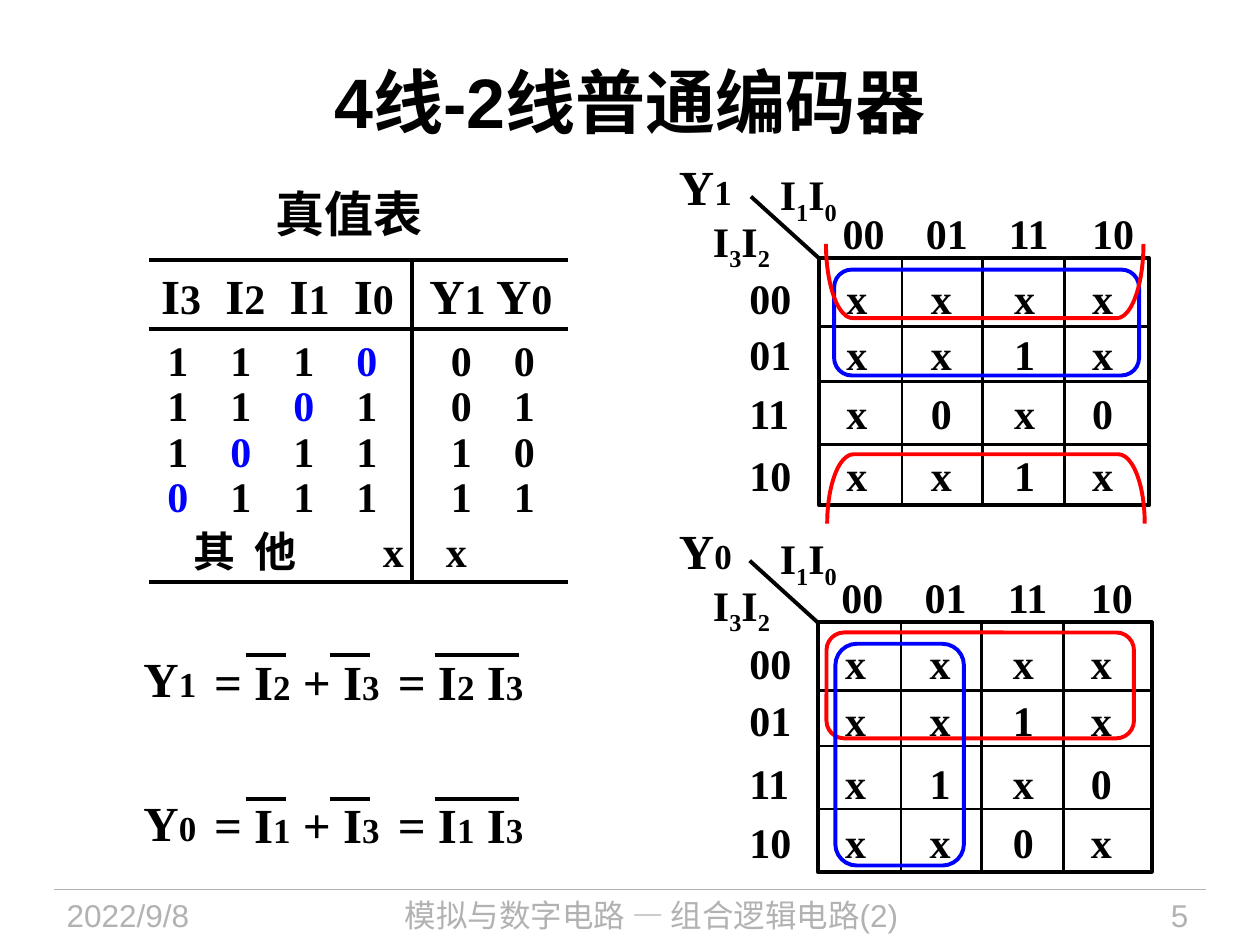
from lxml.etree import SubElement
from pptx import Presentation
from pptx.dml.color import RGBColor
from pptx.enum.shapes import MSO_CONNECTOR, MSO_SHAPE
from pptx.enum.text import MSO_ANCHOR, MSO_AUTO_SIZE, PP_ALIGN
from pptx.oxml.ns import qn
from pptx.util import Inches, Pt

BLACK = RGBColor(0x00, 0x00, 0x00)
BLUE = RGBColor(0x00, 0x00, 0xFF)
RED = RGBColor(0xFF, 0x00, 0x00)
GRAY = RGBColor(0xB2, 0xB2, 0xB2)
SERIF, SANS, CJK = "Times New Roman", "Arial", "Noto Sans CJK SC"

GRAY_CODE = ("00", "01", "11", "10")


def set_font(font, size, name, color, bold=True):
    font.size, font.name, font.bold = Pt(size), name, bold
    font.color.rgb = color


def add_tabs(p, stops):
    tab_list = SubElement(p._p.get_or_add_pPr(), qn("a:tabLst"))
    for stop in stops:
        SubElement(tab_list, qn("a:tab"), pos=str(Inches(stop)), algn="l")


def add_run(p, text, size=None, color=None, name=None, sub=False):
    r = p.add_run()
    r.text = text
    if size:
        r.font.size = Pt(size)
    if color is not None:
        r.font.color.rgb = color
    if name:
        r.font.name = name
    if sub:
        r._r.get_or_add_rPr().set("baseline", "-25000")


def add_text(shapes, box, paragraphs, size=24, name=SERIF, color=BLACK, bold=True,
             wrap=False, align=PP_ALIGN.LEFT, tabs=(), spacing=None):
    """Each paragraph is a list of runs: (text, options of add_run)."""
    tf = shapes.add_textbox(*map(Inches, box)).text_frame
    tf.word_wrap = wrap
    tf.auto_size = MSO_AUTO_SIZE.SHAPE_TO_FIT_TEXT
    for i, runs in enumerate(paragraphs):
        p = tf.add_paragraph() if i else tf.paragraphs[0]
        p.alignment = align
        if spacing:
            p.line_spacing = spacing
        if tabs:
            add_tabs(p, tabs)
        set_font(p.font, size, name, color, bold)
        for text, options in runs:
            add_run(p, text, **options)


def add_label(shapes, x, y, text, width=0.53):
    add_text(shapes, (x, y, width, 0.5), [[(text, {})]])


def indexed(text, size):
    """Runs for a text whose digits are set in a smaller size."""
    return [(c, {"size": size} if c.isdigit() else {}) for c in text]


def add_line(shapes, x1, y1, x2, y2, width=2.25, color=BLACK):
    line = shapes.add_connector(MSO_CONNECTOR.STRAIGHT, *map(Inches, (x1, y1, x2, y2)))
    line.line.width = Pt(width)
    line.line.color.rgb = color
    SubElement(line._element.spPr, qn("a:effectLst"))


def add_outline(shapes, kind, box, color, adj=None, rotation=0):
    sp = shapes.add_shape(kind, *map(Inches, box))
    sp.shadow.inherit = False
    sp.fill.background()
    sp.line.color.rgb = color
    sp.line.width = Pt(2.25)
    sp.rotation = rotation
    if adj is not None:
        sp.adjustments[0] = adj


def add_footer(shapes):
    add_line(shapes, 0.43, 7.06, 9.57, 7.06, 0.75, GRAY)
    for x, width, text, align in (
        (0.43, 1.88, "2022/9/8", PP_ALIGN.LEFT),
        (2.49, 5.36, "模拟与数字电路 — 组合逻辑电路(2)", PP_ALIGN.CENTER),
        (8.2, 1.33, "5", PP_ALIGN.RIGHT),
    ):
        add_text(shapes, (x, 7.06, width, 0.44), [[(text, {})]], 18, SANS, GRAY,
                 bold=False, wrap=True, align=align)


def add_truth_table(shapes):
    add_text(shapes, (2.09, 1.41, 1.37, 0.57), [[("真值表", {})]], 28, SANS)
    # Column heads
    add_text(shapes, (1.18, 2.06, 3.34, 0.57), [indexed("I3\tI2\tI1\tI0\tY1\tY0", 24)],
             28, wrap=True, tabs=(0.51, 1.02, 1.53, 2.13, 2.66))
    # One row per active-low input, with its binary code
    rows = []
    for code in range(4):
        inputs = [("0" if i == 3 - code else "1") for i in range(4)]
        runs = [(bit + "\t", {"color": BLUE} if bit == "0" else {}) for bit in inputs]
        rows.append(runs + [("\t".join(f"{code:02b}"), {})])
    add_text(shapes, (1.23, 2.65, 3.26, 1.54), rows, wrap=True,
             tabs=(0.5, 1, 1.5, 2.25, 2.75), spacing=0.9)
    add_text(shapes, (1.44, 4.12, 2.89, 0.5),
             [[("其\t他\t", {"name": CJK}), ("x\tx", {})]], wrap=True, tabs=(0.48, 1.5, 2))
    # Rules
    for y in (2.06, 2.61, 4.62):
        add_line(shapes, 1.18, y, 4.51, y)
    add_line(shapes, 3.27, 2.06, 3.27, 4.62)


def add_overlined(shapes, x, y, width, text, bars):
    group = shapes.add_group_shape().shapes
    add_text(group, (x, y, width, 0.57), [indexed(text, 20)], 28, wrap=True)
    for start, end in bars:
        add_line(group, x + start, y + 0.08, x + end, y + 0.08)


def add_equation(shapes, x, y, output, first):
    add_text(shapes, (x, y - 0.02, 0.62, 0.57), [indexed(output, 20)], 28)
    add_overlined(shapes, x + 0.56, y, 1.65, f"= {first} + I3", ((0.35, 0.67), (1.02, 1.34)))
    add_overlined(shapes, x + 2.02, y, 1.5, f"= {first} I3", ((0.39, 1.06),))


def add_karnaugh_map(shapes, x, y, width, height, output, rows, text_tops):
    # Grid
    add_outline(shapes, MSO_SHAPE.RECTANGLE, (x, y, width, height), BLACK)
    for dx in (0.66, 1.3, 1.95):
        add_line(shapes, x + dx, y, x + dx, y + height, 1.5)
    for dy in (0.54, 0.98, 1.48):
        add_line(shapes, x, y + dy, x + width, y + dy, 1.5)
    # Corner with the variable names
    add_line(shapes, x, y, x - 0.54, y - 0.49)
    add_text(shapes, (5.29, y - 0.86, 0.62, 0.57), [indexed(output, 20)], 28)
    for left, dy, name in ((5.56, -0.39, "I3I2"), (6.09, -0.76, "I1I0")):
        add_text(shapes, (left, y + dy, 0.68, 0.5),
                 [[(c, {"sub": c.isdigit()}) for c in name]])
    # Codes and cell values
    for i, code in enumerate(GRAY_CODE):
        add_label(shapes, x + 0.09 + 0.66 * i, y - 0.45, code)
        add_label(shapes, 5.85, y + text_tops[i], code)
    for top, values in zip(text_tops, rows):
        for dx, value in zip((0.12, 0.79, 1.45, 2.07), values):
            add_label(shapes, x + dx, y + top, value, 0.37)


def main():
    prs = Presentation()
    prs.slide_width, prs.slide_height = Inches(10), Inches(7.5)
    s = prs.slides.add_slide(prs.slide_layouts[5])
    shapes = s.shapes

    # Title
    title = shapes.title
    title.left, title.top, title.width, title.height = map(Inches, (0.5, 0.17, 9, 1.25))
    tf = title.text_frame
    tf.text = "4线-2线普通编码器"
    tf.vertical_anchor = MSO_ANCHOR.MIDDLE
    p = tf.paragraphs[0]
    p.alignment = PP_ALIGN.CENTER
    set_font(p.font, 40, SANS, BLACK)

    add_footer(shapes)
    add_truth_table(shapes)
    add_equation(shapes, 1.04, 5.12, "Y1", "I2")
    add_equation(shapes, 1.04, 6.26, "Y0", "I1")

    add_karnaugh_map(shapes, 6.5, 2.05, 2.62, 1.96, "Y1",
                     ("xxxx", "xx1x", "x0x0", "xx1x"), (0.06, 0.51, 0.98, 1.47))
    add_karnaugh_map(shapes, 6.49, 4.94, 2.65, 1.98, "Y0",
                     ("xxxx", "xx1x", "x1x0", "xx0x"), (0.07, 0.52, 1.02, 1.49))

    # Loops around the adjacent cells
    for box, color in (
        ((6.62, 2.14, 2.42, 0.84), BLUE),
        ((6.56, 5.02, 2.44, 0.84), RED),
        ((6.63, 5.11, 1.02, 1.76), BLUE),
    ):
        add_outline(shapes, MSO_SHAPE.ROUNDED_RECTANGLE, box, color)
    # Halves of the loop that wraps from the top row to the bottom row
    add_outline(shapes, MSO_SHAPE.RIGHT_BRACKET, (7.55, 2.62, 0.55, 2.52), RED, 0.38, 270)
    add_outline(shapes, MSO_SHAPE.RIGHT_BRACKET, (7.52, 0.97, 0.59, 2.52), RED, 0.36, 90)

    prs.save("out.pptx")


if __name__ == "__main__":
    main()
